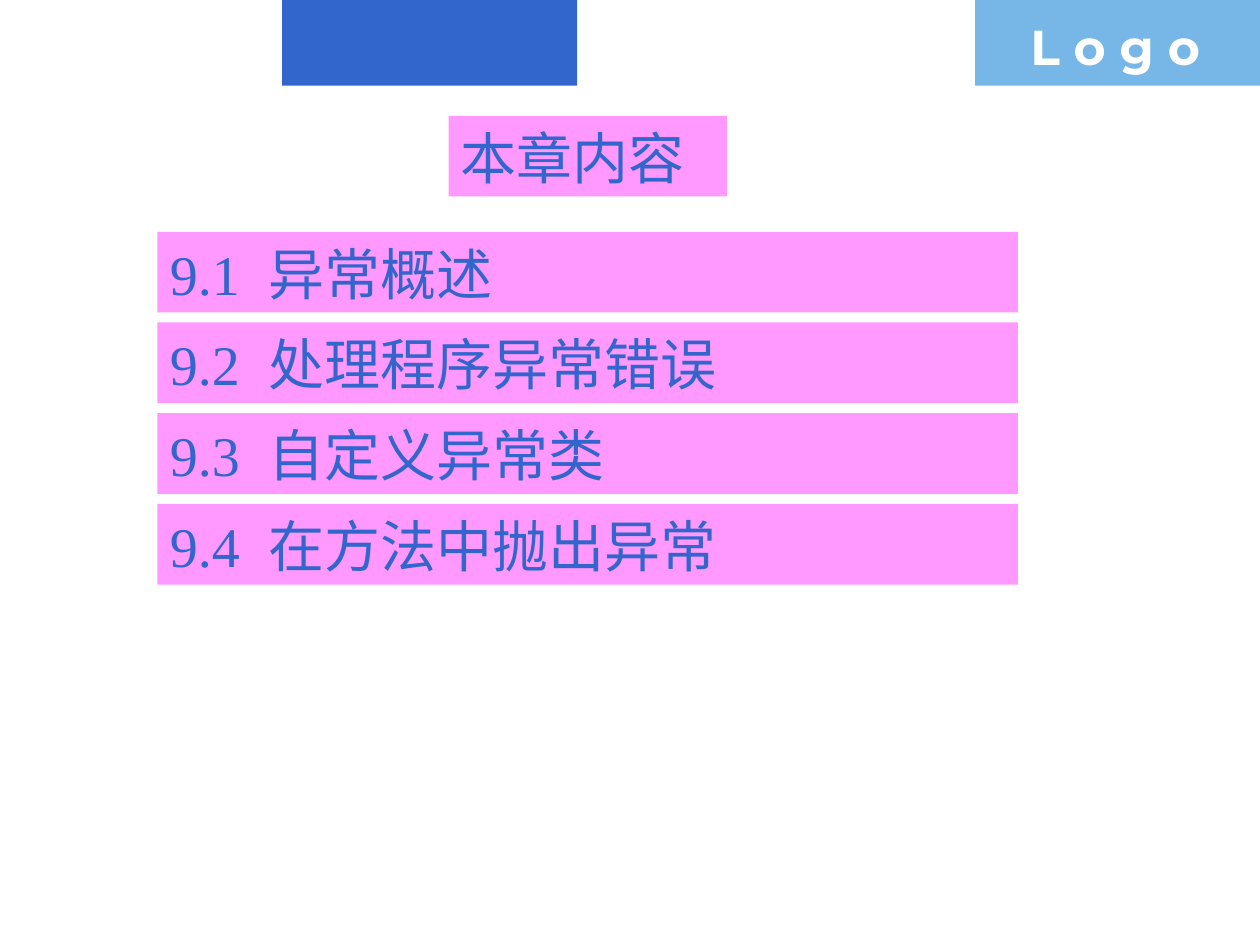
from lxml.etree import SubElement
from pptx import Presentation
from pptx.dml.color import RGBColor
from pptx.enum.shapes import MSO_SHAPE as Shape
from pptx.enum.text import MSO_ANCHOR as Anchor, MSO_AUTO_SIZE as Fit, PP_ALIGN as Align
from pptx.oxml.ns import qn
from pptx.util import Inches, Pt

BLUE, SKY, PINK, WHITE = "3366CC", "77B7E7", "FF99FF", "FFFFFF"
TITLE = "本章内容"
TOPICS = [
    ("9.1", "异常概述"),
    ("9.2", "处理程序异常错误"),
    ("9.3", "自定义异常类"),
    ("9.4", "在方法中抛出异常"),
]
BANDS = [(2.24, 2.34, BLUE), (7.74, 2.26, SKY)]
LEFT, TOP, WIDTH, HEIGHT, STEP = 1.25, 1.84, 6.83, 0.64, 0.72
TAB = 0.78


def tint(code):
    return RGBColor.from_string(code)


def add_bar(slide, left, top, width, height, color):
    bar = slide.shapes.add_shape(
        Shape.RECTANGLE, Inches(left), Inches(top), Inches(width), Inches(height))
    bar.shadow.inherit = False
    bar.fill.solid()
    bar.fill.fore_color.rgb = tint(color)
    bar.line.fill.background()
    return bar


def put_text(shape, text, size=32, face="Times New Roman", color=BLUE,
             bold=False, anchor=Anchor.BOTTOM, tab=None):
    frame = shape.text_frame
    frame.word_wrap = True
    frame.auto_size = Fit.SHAPE_TO_FIT_TEXT
    frame.vertical_anchor = anchor
    para = frame.paragraphs[0]
    para.alignment = Align.LEFT
    if tab:
        stops = SubElement(para._p.get_or_add_pPr(), qn("a:tabLst"))
        SubElement(stops, qn("a:tab"), pos=str(Inches(tab)), algn="l")
    run = para.add_run()
    run.text = text
    font = run.font
    font.size, font.name, font.bold = Pt(size), face, bold
    font.color.rgb = tint(color)


def main():
    deck = Presentation()
    deck.slide_width, deck.slide_height = Inches(10), Inches(7.5)
    slide = deck.slides.add_slide(deck.slide_layouts[6])

    for left, width, color in BANDS:
        add_bar(slide, left, 0, width, 0.68, color)
    logo = slide.shapes.add_textbox(Inches(8.08), Inches(0.08), Inches(1.93), Inches(0.57))
    put_text(logo, "L o g o", size=28, face="Montserrat", color=WHITE,
             bold=True, anchor=Anchor.TOP)

    put_text(add_bar(slide, 3.56, 0.92, 2.21, HEIGHT, PINK), TITLE)
    for row, topic in enumerate(TOPICS):
        bar = add_bar(slide, LEFT, TOP + row * STEP, WIDTH, HEIGHT, PINK)
        put_text(bar, "\t".join(topic), tab=TAB)

    deck.save("out.pptx")


if __name__ == "__main__":
    main()
